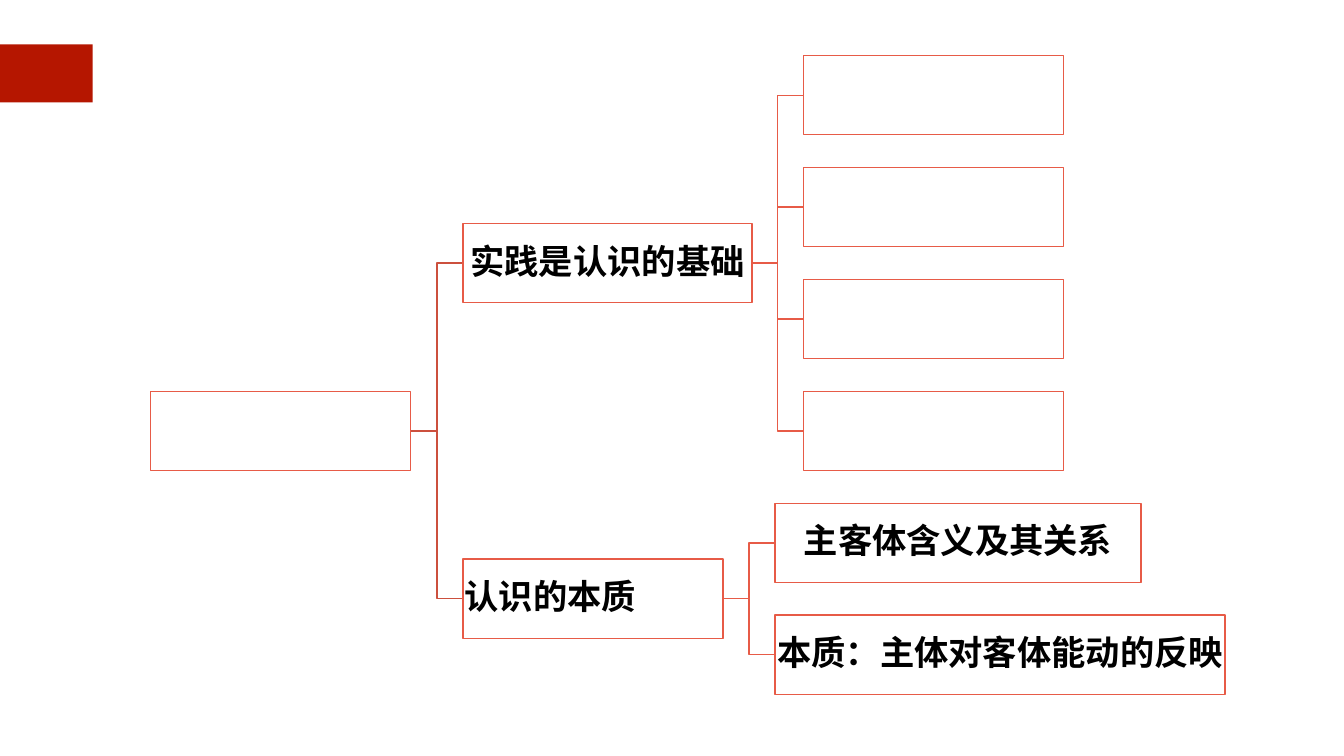
from pptx import Presentation
from pptx import util as u
from pptx.dml.color import RGBColor
from pptx.enum import shapes, text

COLORS = {"accent": "B51600", "box": "E75B47", "trunk": "CC503E",
          "paper": "FFFFFF", "ink": "000000"}
FIRST_ROW, ROW_STEP, BOX_HEIGHT = 1.89, 1.11, 1.57


class TreeSlide:
    frame_format = {"word_wrap": True, "vertical_anchor": text.MSO_ANCHOR.MIDDLE,
                    "margin_left": u.Inches(0.03), "margin_right": u.Inches(0.03),
                    "margin_top": u.Inches(0.03), "margin_bottom": u.Inches(0.03)}
    font_format = {"name": "Roboto", "size": u.Pt(49), "bold": True}
    line_width = u.Pt(2)

    def __init__(self, page):
        self.page = page

    def color(self, name):
        return RGBColor.from_string(COLORS[name])

    def apply(self, target, values):
        for name, value in values.items():
            setattr(target, name, value)

    def outline(self, shape, color):
        shape.line.color.rgb = self.color(color)
        shape.line.width = self.line_width

    def rectangle(self, left, top, width, height, fill):
        box = self.page.shapes.add_shape(
            shapes.MSO_SHAPE.RECTANGLE, *map(u.Inches, (left, top, width, height)))
        box.shadow.inherit = False
        box.fill.solid()
        box.fill.fore_color.rgb = self.color(fill)
        box.line.fill.background()
        return box

    def node(self, left, row, width, label, align):
        top = row_center(row) - BOX_HEIGHT / 2
        box = self.rectangle(left, top, width, BOX_HEIGHT, "paper")
        self.outline(box, "box")
        if label:
            self.apply(box.text_frame, self.frame_format)
            para = box.text_frame.paragraphs[0]
            self.apply(para, {"alignment": align, "line_spacing": 0.9})
            span = para.add_run()
            span.text = label
            self.apply(span.font, self.font_format)
            span.font.color.rgb = self.color("ink")

    def branch(self, start, start_row, end, end_row, color):
        middle = (start + end) / 2
        y1, y2 = row_center(start_row), row_center(end_row)
        points = [(u.Inches(x), u.Inches(y)) for x, y in
                  ((start, y1), (middle, y1), (middle, y2), (end, y2))]
        builder = self.page.shapes.build_freeform(*points[0])
        builder.add_line_segments(points[1:], close=False)
        elbow = builder.convert_to_shape()
        elbow.shadow.inherit = False
        elbow.fill.background()
        self.outline(elbow, color)


def row_center(row):
    return FIRST_ROW + row * ROW_STEP


def main():
    deck = Presentation()
    deck.slide_width, deck.slide_height = u.Inches(26.67), u.Inches(15)
    tree = TreeSlide(deck.slides.add_slide(deck.slide_layouts[6]))
    tree.rectangle(-0.03, 0.88, 1.87, 1.15, "accent")

    center, left = text.PP_ALIGN.CENTER, text.PP_ALIGN.LEFT
    nodes = {
        "root": (2.99, 6, 5.16, "", center),
        "basis": (9.19, 3, 5.73, "实践是认识的基础", center),
        "basis 1": (15.95, 0, 5.16, "", center),
        "basis 2": (15.95, 2, 5.16, "", center),
        "basis 3": (15.95, 4, 5.16, "", center),
        "basis 4": (15.95, 6, 5.16, "", center),
        "essence": (9.19, 9, 5.16, "认识的本质", left),
        "relation": (15.38, 8, 7.26, "主客体含义及其关系", center),
        "reflection": (15.38, 10, 8.93, "本质：主体对客体能动的反映", center),
    }
    children = {
        "essence": ["reflection", "relation"],
        "root": ["essence", "basis"],
        "basis": ["basis 4", "basis 3", "basis 2", "basis 1"],
    }
    for parent, names in children.items():
        x, row, width = nodes[parent][:3]
        color = "trunk" if parent == "root" else "box"
        for name in names:
            tree.branch(x + width, row, *nodes[name][:2], color)
    for node in nodes.values():
        tree.node(*node)

    deck.save("out.pptx")


if __name__ == "__main__":
    main()
